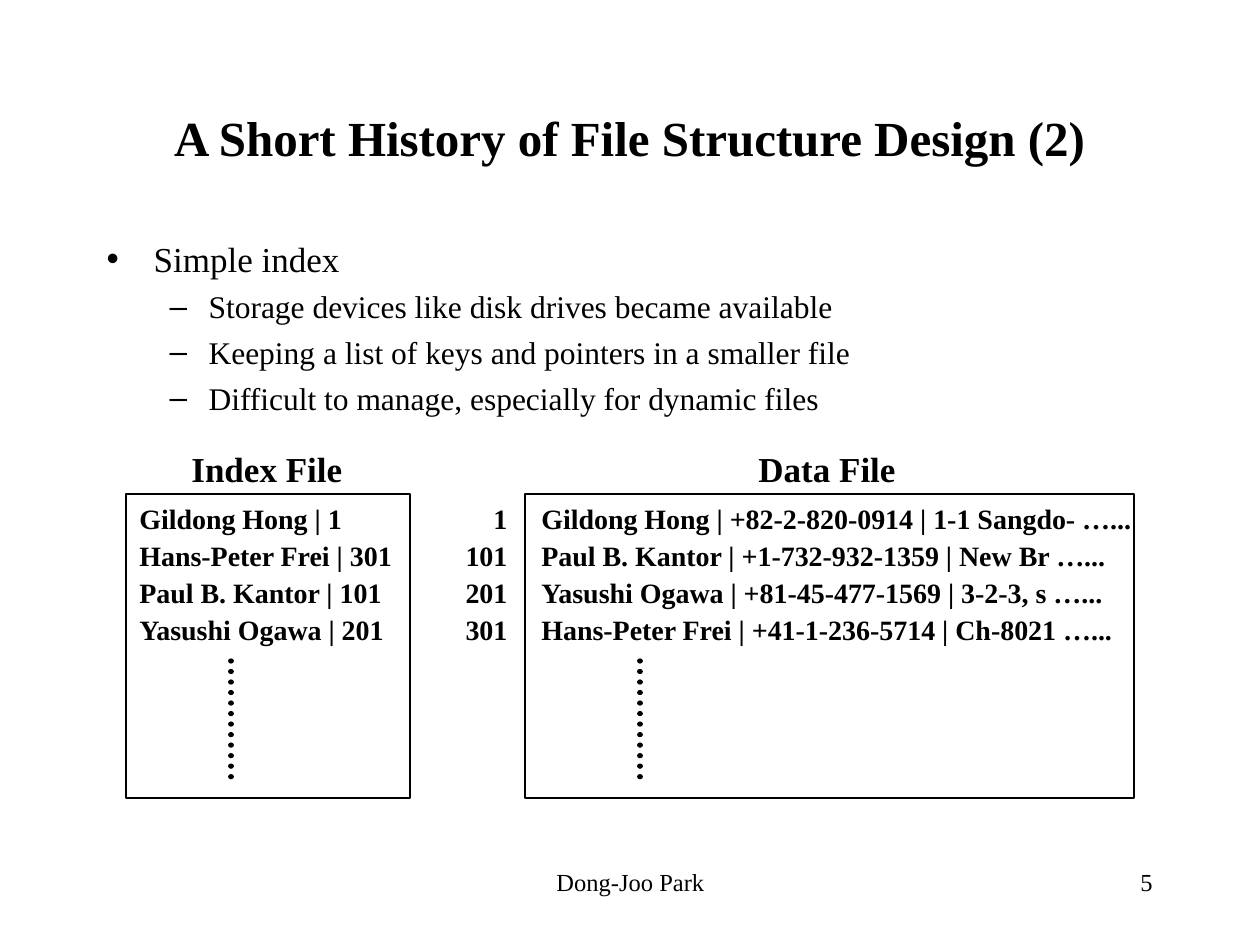
from lxml import etree
from pptx import Presentation
from pptx import util as u
from pptx.dml.color import RGBColor
from pptx.enum import dml, shapes, text
from pptx.oxml import ns

BLACK = "000000"
LEFT, CENTER, RIGHT = text.PP_ALIGN.LEFT, text.PP_ALIGN.CENTER, text.PP_ALIGN.RIGHT
LEVELS = [(47, -47, "•", 20, 0), (102, -39, "–", 18, 4.5)]


def px(n):
    return round(n * 914400 / 126)


def color(value):
    return RGBColor.from_string(value)


def add(parent, tag, **attrs):
    return etree.SubElement(parent, ns.qn(tag), attrs)


class SlideBuilder:
    font = "Times New Roman"

    def __init__(self, deck):
        self.slide = deck.slides.add_slide(deck.slide_layouts[1])

    def style(self, paragraph, size, bold=False, align=LEFT):
        paragraph.alignment = align
        font = paragraph.font
        font.name, font.size, font.bold = self.font, u.Pt(size), bold
        font.color.rgb = color(BLACK)

    def place(self, holder, box, anchor):
        holder.left, holder.top, holder.width, holder.height = map(px, box)
        frame = holder.text_frame
        frame.auto_size = text.MSO_AUTO_SIZE.NONE
        frame.vertical_anchor = anchor
        return frame

    def title(self, box, words):
        frame = self.place(self.slide.shapes.title, box, text.MSO_ANCHOR.MIDDLE)
        frame.text = words
        self.style(frame.paragraphs[0], 28, True, CENTER)

    def bullets(self, box, items):
        frame = self.place(self.slide.placeholders[1], box, text.MSO_ANCHOR.TOP)
        frame.text = "\n".join(words for _, words in items)
        for paragraph, (level, _) in zip(frame.paragraphs, items):
            margin, indent, mark, size, before = LEVELS[level]
            paragraph.level = level
            paragraph.space_before = u.Pt(before)
            props = paragraph._p.get_or_add_pPr()
            props.set("marL", str(px(margin)))
            props.set("indent", str(px(indent)))
            add(add(props, "a:buClr"), "a:srgbClr", val=BLACK)
            add(props, "a:buChar", char=mark)
            self.style(paragraph, size)

    def label(self, box, lines, size, bold=False, align=LEFT, spacing=None, tabs=()):
        frame = self.slide.shapes.add_textbox(*map(px, box)).text_frame
        frame.word_wrap = True
        frame.text = "\n".join(lines)
        for paragraph in frame.paragraphs:
            paragraph.line_spacing = spacing
            if tabs:
                stops = add(paragraph._p.get_or_add_pPr(), "a:tabLst")
                for position, side in tabs:
                    add(stops, "a:tab", pos=str(px(position)), algn=side)
            self.style(paragraph, size, bold, align)

    def frame(self, box):
        outline = self.slide.shapes.add_shape(shapes.MSO_SHAPE.RECTANGLE, *map(px, box))
        outline.shadow.inherit = False
        outline.fill.background()
        outline.line.color.rgb = color(BLACK)
        outline.line.width = u.Pt(0.75)

    def dots(self, x, top, bottom):
        column = self.slide.shapes.add_connector(
            shapes.MSO_CONNECTOR.STRAIGHT, px(x), px(top), px(x), px(bottom))
        column.line.color.rgb = color(BLACK)
        column.line.width = u.Pt(3)
        column.line.dash_style = dml.MSO_LINE.ROUND_DOT
        column.line._ln.set("cap", "rnd")
        add(column._element.spPr, "a:effectLst")


def main():
    deck = Presentation()
    deck.slide_width, deck.slide_height = px(1260), px(945)
    page = SlideBuilder(deck)

    page.title((94, 63, 1071, 147), "A Short History of File Structure Design (2)")
    page.bullets((94, 231, 1071, 567), [
        (0, "Simple index"),
        (1, "Storage devices like disk drives became available"),
        (1, "Keeping a list of keys and pointers in a smaller file"),
        (1, "Difficult to manage, especially for dynamic files"),
    ])

    index_records = ["Gildong Hong | 1", "Hans-Peter Frei | 301",
                     "Paul B. Kantor | 101", "Yasushi Ogawa | 201"]
    data_records = [
        (1, "Gildong Hong | +82-2-820-0914 | 1-1 Sangdo- …..."),
        (101, "Paul B. Kantor | +1-732-932-1359 | New Br …..."),
        (201, "Yasushi Ogawa | +81-45-477-1569 | 3-2-3, s …..."),
        (301, "Hans-Peter Frei | +41-1-236-5714 | Ch-8021 …..."),
    ]
    for heading, heading_x, frame_x, frame_width, dots_x in (
            ("Index File", 179, 126, 284, 231), ("Data File", 746, 525, 609, 640)):
        page.label((heading_x, 441, 180, 55), [heading], 20, True)
        page.frame((frame_x, 494, frame_width, 304))
        page.dots(dots_x, 661, 777)
    page.label((127, 492, 283, 160), index_records, 16, True, spacing=1.1)
    page.label((452, 492, 710, 160),
               [f"\t{address}\t{record}" for address, record in data_records],
               16, True, spacing=1.1, tabs=[(43, "r"), (77, "l")])

    page.label((431, 861, 399, 63), ["Dong-Joo Park"], 14, align=CENTER)
    page.label((903, 861, 262, 63), ["5"], 14, align=RIGHT)
    deck.save("out.pptx")


if __name__ == "__main__":
    main()
